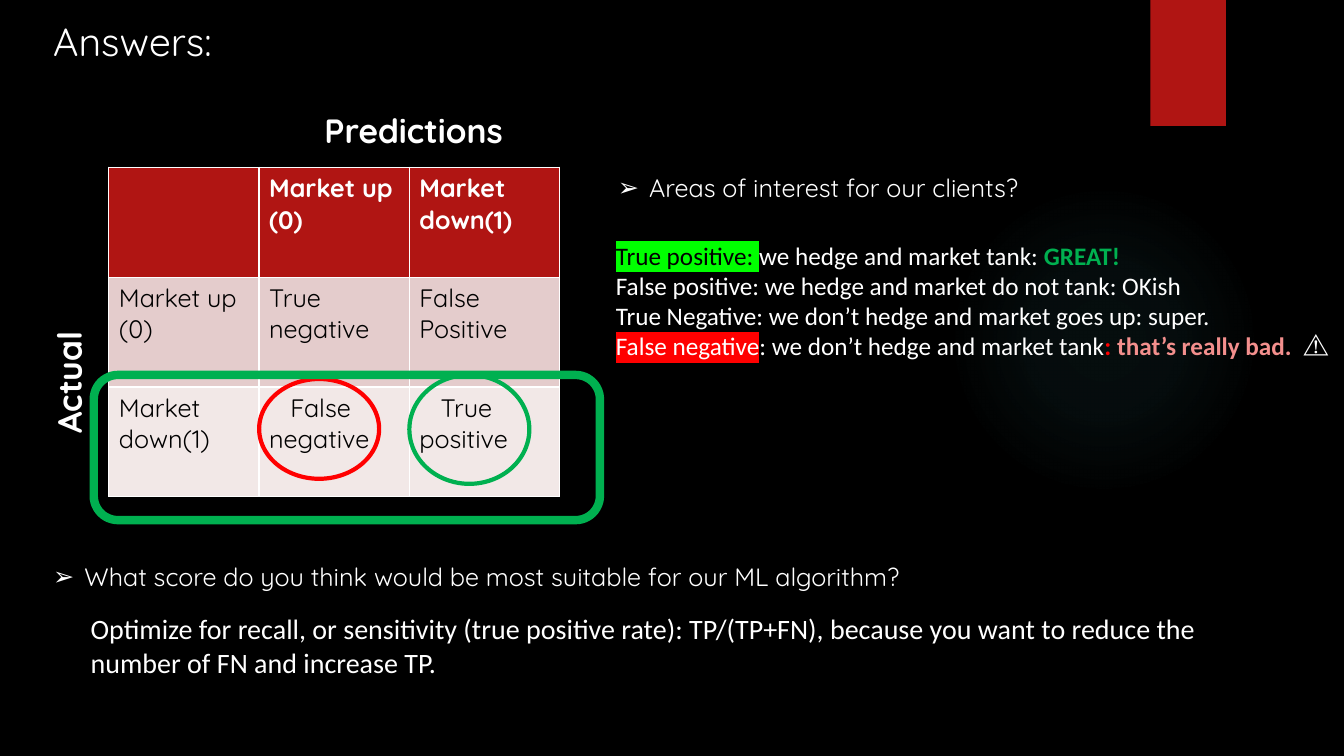
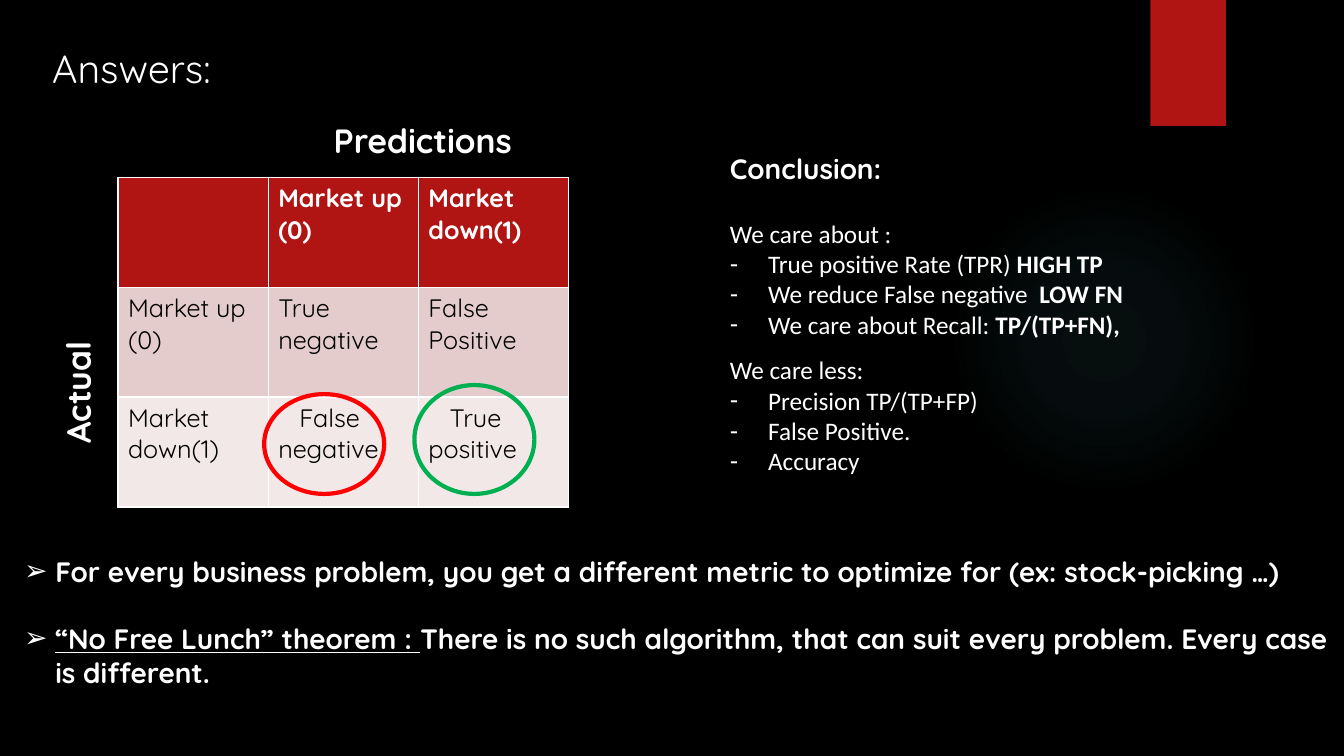
from dataclasses import dataclass

from lxml import etree
from pptx import Presentation
from pptx.dml.color import RGBColor
from pptx.enum.shapes import MSO_SHAPE
from pptx.oxml import parse_xml
from pptx.oxml.ns import nsdecls, qn
from pptx.util import Inches, Pt

BLACK = RGBColor(0x00, 0x00, 0x00)
WHITE = RGBColor(0xFF, 0xFF, 0xFF)
CRIMSON = RGBColor(0xB0, 0x15, 0x13)
ROSE = RGBColor(0xE4, 0xCC, 0xCC)
BLUSH = RGBColor(0xF2, 0xE8, 0xE7)
RED = RGBColor(0xFF, 0x00, 0x00)
SALMON = RGBColor(0xF3, 0x8F, 0x8D)
GREEN = RGBColor(0x00, 0xB0, 0x50)
LIME = RGBColor(0x00, 0xFF, 0x00)
TEAL = RGBColor(0x50, 0xB9, 0xC1)

HEAD, BODY = "Quicksand", "Calibri"
ARROW, DASH = "➢", "-"
HANG = {ARROW: 0.31, DASH: 0.38}
CELL_W, CELL_H = 1.49, 1.09
GLOW_STOPS = [(0, 7), (36, 6), (69, 0)]


@dataclass
class Run:
    text: str
    color: RGBColor = None
    bold: bool = None
    underline: bool = None
    highlight: RGBColor = None


@dataclass
class Para:
    runs: list
    bullet: str = ""
    font: str = BODY
    size: int = 18
    bold: bool = False
    after: float = 0


MATRIX = [
    ["", "Market up (0)", "Market down(1)"],
    ["Market up (0)", "True negative", "False Positive"],
    ["Market down(1)", "False negative", "True positive"],
]
ROW_FILLS = [CRIMSON, ROSE, BLUSH]
INDENTED = {(2, 1), (2, 2)}

SLIDES = [
    {
        "title_at": (0.43, 0.12),
        "matrix_at": (1.08, 1.66),
        "rings": [(2.57, 3.76, 0.99, RED), (4.06, 3.72, 1.08, GREEN)],
        "frame": (0.93, 3.72, 5.02, 1.44),
        "texts": [
            ((6.03, 1.66, 7.1, 0.4), [
                Para([Run("Areas of interest for our clients?")], ARROW, HEAD),
            ]),
            ((6.01, 2.33, 7.1, 1.92), [
                Para([Run("True positive: ", BLACK, highlight=LIME),
                      Run("we hedge and market tank: "),
                      Run("GREAT!", GREEN, True)]),
                Para([Run("False positive: we hedge and market do not tank: OKish")]),
                Para([Run("True Negative: we don’t hedge and market goes up: super.")]),
                Para([Run("False negative", WHITE, highlight=RED),
                      Run(": we don’t hedge and market tank"),
                      Run(": ", RED, True),
                      Run("that’s really bad.", SALMON, True)]),
            ]),
            ((12.83, 3.21, 0.5, 0.4), [Para([Run("⚠️")], font=HEAD)]),
            ((0.43, 5.52, 9.77, 0.4), [
                Para([Run("What score do you think would be most suitable "
                          "for our ML algorithm?")], ARROW, HEAD),
            ]),
            ((0.8, 6.02, 11.18, 0.77), [
                Para([Run("Optimize for recall, or sensitivity (true positive rate): "
                          "TP/(TP+FN), because you want to reduce the number of FN "
                          "and increase TP.")], size=20),
            ]),
        ],
    },
    {
        "title_at": (0.42, 0.39),
        "matrix_at": (1.17, 1.76),
        "rings": [(2.62, 3.91, 0.99, RED), (4.11, 3.82, 1.08, GREEN)],
        "frame": None,
        "texts": [
            ((7.14, 1.45, 4.32, 2.0), [
                Para([Run("Conclusion:")], font=HEAD, size=20, bold=True, after=24),
                Para([Run("We care about :")]),
                Para([Run("True positive Rate (TPR) "), Run("HIGH TP", bold=True)], DASH),
                Para([Run("We reduce False negative  "), Run("LOW FN", bold=True)], DASH),
                Para([Run("We care about Recall: "), Run("TP/(TP+FN),", bold=True)], DASH),
            ]),
            ((7.14, 3.47, 4.75, 1.31), [
                Para([Run("We care less:")]),
                Para([Run("Precision TP/(TP+FP)")], DASH),
                Para([Run("False Positive.")], DASH),
                Para([Run("Accuracy")], DASH),
            ]),
            ((0.14, 5.45, 13.19, 1.49), [
                Para([Run("For every business problem, you get a different metric "
                          "to optimize for (ex: stock-picking …)")],
                     ARROW, HEAD, 20, True, 24),
                Para([Run("“No Free Lunch” theorem : ", underline=True),
                      Run("There is no such algorithm, that can suit every problem. "
                          "Every case is different.")], ARROW, HEAD, 20, True),
            ]),
        ],
    },
]


def inches(*values):
    return [Inches(v) for v in values]


def style_font(font, name, size, color, bold=False):
    font.name, font.size, font.bold = name, Pt(size), bold
    font.color.rgb = color


def set_bullet(p, char):
    pPr = p._p.get_or_add_pPr()
    hang = Inches(HANG[char])
    pPr.set("marL", str(hang))
    pPr.set("indent", str(-hang))
    for tag, attr, value in (("a:buChar", "char", char), ("a:buFont", "typeface", "Arial")):
        bu = etree.Element(qn(tag))
        bu.set(attr, value)
        defaults = pPr.find(qn("a:defRPr"))
        if tag == "a:buFont":
            pPr.find(qn("a:buChar")).addprevious(bu)
        else:
            defaults.addprevious(bu)


def add_run(p, run):
    r = p.add_run()
    r.text = run.text
    if run.bold is not None:
        r.font.bold = run.bold
    if run.underline is not None:
        r.font.underline = run.underline
    if run.color is not None:
        r.font.color.rgb = run.color
    if run.highlight is not None:
        mark = parse_xml(f'<a:highlight {nsdecls("a")}>'
                         f'<a:srgbClr val="{run.highlight}"/></a:highlight>')
        r.font._element.find(qn("a:solidFill")).addnext(mark)


def add_text(slide, at, paras):
    sp = slide.shapes.add_textbox(*inches(*at))
    tf = sp.text_frame
    tf.word_wrap = True
    for i, para in enumerate(paras):
        p = tf.add_paragraph() if i else tf.paragraphs[0]
        p.space_after = Pt(para.after)
        style_font(p.font, para.font, para.size, WHITE, para.bold)
        if para.bullet:
            set_bullet(p, para.bullet)
        for run in para.runs:
            add_run(p, run)
    return sp


def add_shape(slide, kind, at, fill=None, line=None, width=3):
    sp = slide.shapes.add_shape(kind, *inches(*at))
    sp.shadow.inherit = False
    if fill is None:
        sp.fill.background()
    else:
        sp.fill.solid()
        sp.fill.fore_color.rgb = fill
    if line is None:
        sp.line.fill.background()
    else:
        sp.line.color.rgb = line
        sp.line.width = Pt(width)
    return sp


def add_backdrop(slide):
    slide.background.fill.solid()
    slide.background.fill.fore_color.rgb = BLACK
    glow = add_shape(slide, MSO_SHAPE.OVAL, (9.41, 1.83, 3.08, 3.08), TEAL)
    stops = "".join(
        f'<a:gs pos="{pos * 1000}"><a:srgbClr val="{TEAL}">'
        f'<a:alpha val="{alpha * 1000}"/></a:srgbClr></a:gs>'
        for pos, alpha in GLOW_STOPS)
    grad = parse_xml(
        f'<a:gradFill {nsdecls("a")}><a:gsLst>{stops}</a:gsLst><a:path path="circle">'
        '<a:fillToRect l="50000" t="50000" r="50000" b="50000"/></a:path></a:gradFill>')
    spPr = glow._element.spPr
    spPr.replace(spPr.find(qn("a:solidFill")), grad)
    add_shape(slide, MSO_SHAPE.RECTANGLE, (11.41, 0, 0.75, 1.25), CRIMSON)


def add_matrix(slide, left, top):
    n = len(MATRIX)
    table = slide.shapes.add_table(
        n, n, *inches(left, top, n * CELL_W, n * CELL_H)).table
    for i, texts in enumerate(MATRIX):
        table.rows[i].height = Inches(CELL_H)
        table.columns[i].width = Inches(CELL_W)
        for j, text in enumerate(texts):
            cell = table.cell(i, j)
            cell.fill.solid()
            cell.fill.fore_color.rgb = ROW_FILLS[i]
            p = cell.text_frame.paragraphs[0]
            style_font(p.font, HEAD, 18, BLACK if i else WHITE, i == 0)
            if (i, j) in INDENTED:
                p._p.get_or_add_pPr().set("indent", str(Inches(0.21)))
            if text:
                add_run(p, Run(text))

    def axis(text, dx, dy, width):
        return add_text(slide, (left + dx, top + dy, width, 0.5),
                        [Para([Run(text)], font=HEAD, size=24, bold=True)])

    axis("Predictions", 2.04, -0.62, 2.3)
    axis("Actual", -1.5, 1.39, 2.2).rotation = 270


def build_slide(prs, content):
    slide = prs.slides.add_slide(prs.slide_layouts[6])
    add_backdrop(slide)
    add_text(slide, (*content["title_at"], 4.4, 0.57),
             [Para([Run("Answers:")], font=HEAD, size=28)])
    add_matrix(slide, *content["matrix_at"])
    for left, top, height, color in content["rings"]:
        add_shape(slide, MSO_SHAPE.OVAL, (left, top, 1.19, height), line=color)
    for at, paras in content["texts"]:
        add_text(slide, at, paras)
    if content["frame"]:
        add_shape(slide, MSO_SHAPE.ROUNDED_RECTANGLE, content["frame"], line=GREEN, width=6)


def main():
    prs = Presentation()
    prs.slide_width, prs.slide_height = inches(13.33, 7.5)
    for content in SLIDES:
        build_slide(prs, content)
    prs.save("out.pptx")


if __name__ == "__main__":
    main()
